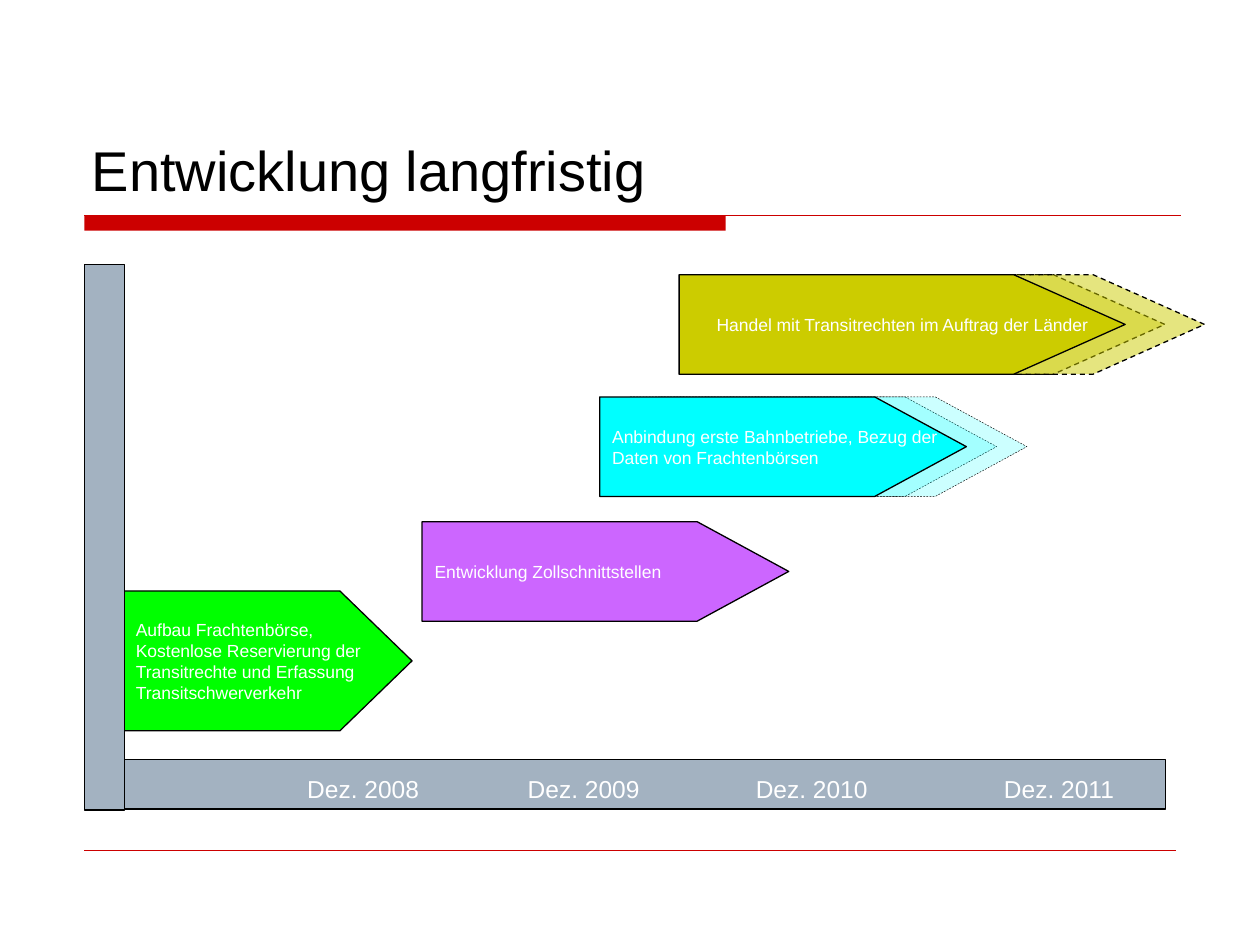
from lxml import etree
from pptx import Presentation
from pptx import util as u
from pptx.dml.color import RGBColor
from pptx.enum import dml, shapes, text
from pptx.oxml import ns

# Grid of 100 columns and 75 rows on a 10 x 7.5 inch slide
COLUMNS, ROWS = 100, 75
CELL = u.Inches(0.1)
RED, STEEL, BLACK, WHITE = "CC0000", "A3B2C1", "000000", "FFFFFF"
TIP_SHARE = 0.25  # part of an arrow's width taken by its tip


def cells(*counts):
    return [u.Emu(round(count * CELL)) for count in counts]


def color(hex_code):
    return RGBColor.from_string(hex_code)


def add_xml(parent, tag, **values):
    child = etree.SubElement(parent, ns.qn(tag))
    for key, value in values.items():
        child.set(key, str(value))
    return child


def apply(target, formats):
    for key, value in formats.items():
        setattr(target, key, value)


def paint(shape, fill, opacity=100, line=BLACK, width=0.75, dash=None):
    shape.shadow.inherit = False
    shape.fill.solid()
    shape.fill.fore_color.rgb = color(fill)
    if opacity < 100:
        tone = shape.fill._xPr.find(ns.qn("a:solidFill"))[0]
        add_xml(tone, "a:alpha", val=opacity * 1000)
    if line is None:
        shape.line.fill.background()
        return
    shape.line.color.rgb = color(line)
    apply(shape.line, {"width": u.Pt(width), "dash_style": dash})


def write(shape, words, size, tone=WHITE, align=text.PP_ALIGN.LEFT, **frame_formats):
    frame = shape.text_frame
    apply(frame, {
        "word_wrap": True,
        "margin_left": u.Inches(0.1), "margin_right": u.Inches(0.1),
        "margin_top": u.Inches(0.05), "margin_bottom": u.Inches(0.05),
        **frame_formats,
    })
    paragraph = frame.paragraphs[0]
    paragraph.alignment = align
    run = paragraph.add_run()
    run.text = words
    apply(run.font, {"name": "Arial", "size": u.Pt(size)})
    run.font.color.rgb = color(tone)
    return paragraph


def add_bar(slide, box, fill, **style):
    bar = slide.shapes.add_shape(shapes.MSO_SHAPE.RECTANGLE, *cells(*box))
    paint(bar, fill, **style)


def add_rule(slide, left, right, row, width):
    rule = slide.shapes.add_connector(
        shapes.MSO_CONNECTOR.STRAIGHT, *cells(left, row, right, row))
    rule.line.color.rgb = color(RED)
    rule.line.width = u.Pt(width)
    add_xml(rule._element.spPr, "a:effectLst")


def add_arrow(parent, box, fill, **style):
    left, top, width, height = box
    right, bottom = left + width, top + height
    shoulder = right - TIP_SHARE * width
    builder = parent.shapes.build_freeform(*cells(left, top))
    corners = [(shoulder, top), (right, top + height / 2),
               (shoulder, bottom), (left, bottom)]
    builder.add_line_segments([cells(*corner) for corner in corners], close=True)
    arrow = builder.convert_to_shape()
    paint(arrow, fill, **style)
    return arrow


def add_phase(parent, box, fill, words, **formats):
    arrow = add_arrow(parent, box, fill)
    write(arrow, words, 10, vertical_anchor=text.MSO_ANCHOR.MIDDLE, **formats)


def add_open_phase(slide, box, fill, words, step, opacities, line_width, **formats):
    """Phase followed by fading arrows, each one step further on."""
    group = slide.shapes.add_group_shape()
    left, *rest = box
    for number, opacity in enumerate(opacities, 1):
        add_arrow(group, (left + number * step, *rest), fill, opacity=opacity,
                  width=line_width, dash=dml.MSO_LINE.DASH)
    add_phase(group, box, fill, words, **formats)


def add_dates(slide, box, dates):
    label = slide.shapes.add_textbox(*cells(*box))
    row = write(label, "".join("\t" + date for date in dates), 14)
    stops = add_xml(row._p.get_or_add_pPr(), "a:tabLst")
    for column in dates.values():
        add_xml(stops, "a:tab", pos=cells(column - box[0] - 1)[0], algn="l")


def main():
    deck = Presentation()
    deck.slide_width, deck.slide_height = cells(COLUMNS, ROWS)
    slide = deck.slides.add_slide(deck.slide_layouts[6])

    # Title and red rules
    add_bar(slide, (6.7, 17.1, 50.9, 1.2), RED, line=None)
    add_rule(slide, 6.7, 93.7, 17.1, 0.75)
    add_rule(slide, 6.7, 93.3, 67.5, 0.25)
    title = slide.shapes.add_textbox(*cells(6.3, 3.3, 87.5, 13.3))
    write(title, "Entwicklung langfristig", 32, BLACK,
          vertical_anchor=text.MSO_ANCHOR.BOTTOM)

    # First phase, partly behind the axes
    add_phase(slide, (9.8, 46.9, 22.9, 11.1), "00FF00",
              "Aufbau Frachtenbörse, Kostenlose Reservierung der "
              "Transitrechte und Erfassung Transitschwerverkehr")

    # Time axis and vertical axis
    add_bar(slide, (9.8, 60.3, 82.7, 3.9), STEEL)
    add_bar(slide, (6.7, 21, 3.2, 43.3), STEEL)
    add_dates(slide, (13.8, 60.9, 78, 3.4), {
        "Dez. 2008": 24.4, "Dez. 2009": 41.9, "Dez. 2010": 60, "Dez. 2011": 79.7})

    # Later phases
    add_open_phase(slide, (47.6, 31.5, 29.1, 7.9), "00FFFF",
                   "Anbindung erste Bahnbetriebe, Bezug der Daten von Frachtenbörsen",
                   2.4, (20, 20), 0.25)
    add_open_phase(slide, (53.9, 21.8, 35.4, 7.9), "CCCC00",
                   "Handel mit Transitrechten im Auftrag der Länder",
                   3.15, (40, 50), 0.75,
                   align=text.PP_ALIGN.CENTER, word_wrap=False)
    add_phase(slide, (33.5, 41.4, 29.1, 7.9), "CC66FF",
              "Entwicklung Zollschnittstellen")

    deck.save("out.pptx")


if __name__ == "__main__":
    main()
